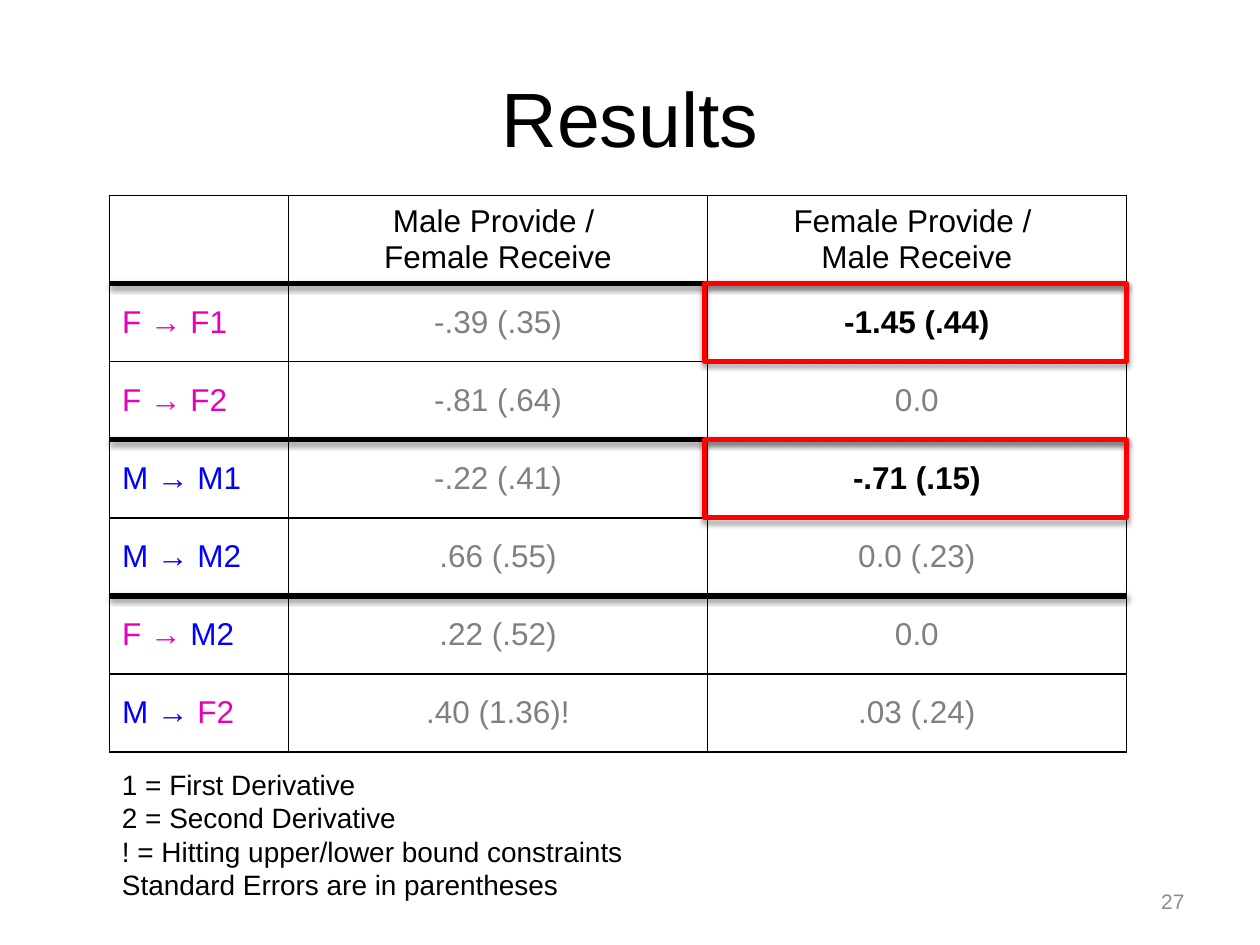
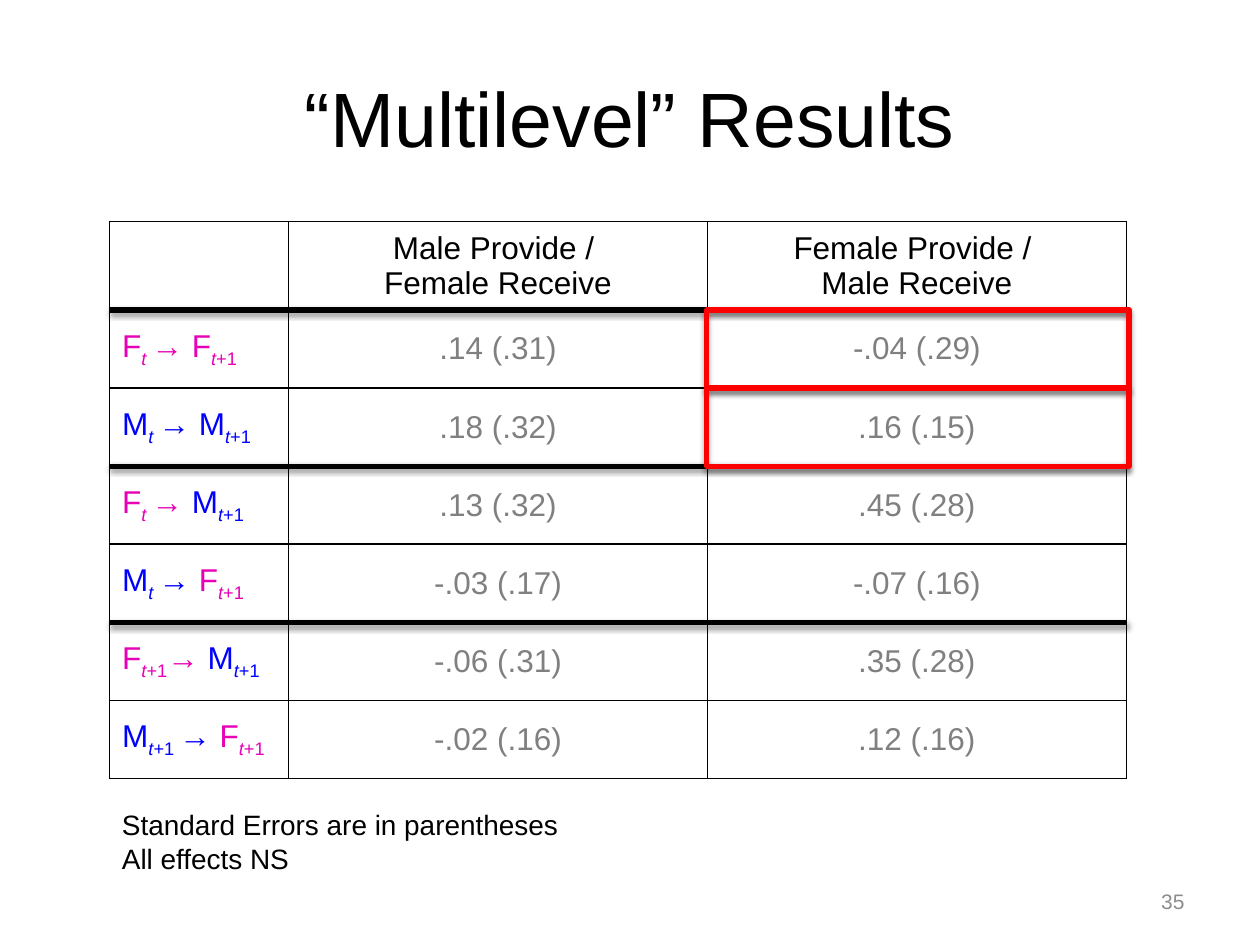
import lxml.etree
import pptx
import pptx.dml.color
import pptx.enum.shapes
import pptx.enum.text
import pptx.oxml
import pptx.oxml.ns
import pptx.util

Inches = pptx.util.Inches
Align = pptx.enum.text.PP_ALIGN
Anchor = pptx.enum.text.MSO_ANCHOR

FONT = "Arial"
BLACK, GREY, PAGE_GREY, RED = "000000", "808080", "8C8C8C", "FF0000"
PERSON_COLORS = {"F": "E700B5", "M": "0000FF"}

LEFT, TABLE_WIDTH = 0.87, 8.07
LABEL_WIDTH = 1.42
HEADER_HEIGHT, ROW_HEIGHT = 0.67, 0.62
RULE_DROP = 0.03
HIGHLIGHT_WIDTH = 3.35
HEADERS = [
    ["Male Provide / ", "Female Receive"],
    ["Female Provide / ", "Male Receive"],
]


def rgb(hex_color):
    return pptx.dml.color.RGBColor.from_string(hex_color)


def add_run(paragraph, text, size=18, color=BLACK, bold=False, italic=False, baseline=0):
    run = paragraph.add_run()
    run.text = text
    font = run.font
    font.name, font.size = FONT, pptx.util.Pt(size)
    font.bold, font.italic = bold, italic
    font.color.rgb = rgb(color)
    if baseline:
        run._r.get_or_add_rPr().set("baseline", str(baseline * 1000))


def write_lines(frame, lines, align=Align.LEFT, **style):
    """Write each line, a string or a list of (text, format) runs, as a paragraph."""
    for index, line in enumerate(lines):
        paragraph = frame.paragraphs[0] if index == 0 else frame.add_paragraph()
        paragraph.alignment = align
        runs = [(line, {})] if isinstance(line, str) else line
        for text, changes in runs:
            add_run(paragraph, text, **{**style, **changes})


def add_shadow(shape, opacity, distance):
    namespace = pptx.oxml.ns.nsdecls("a")
    shape._element.spPr.append(pptx.oxml.parse_xml(
        f'<a:effectLst {namespace}><a:outerShdw blurRad="{pptx.util.Pt(3.1)}" '
        f'dist="{pptx.util.Pt(distance)}" dir="5400000" rotWithShape="0">'
        f'<a:srgbClr val="{BLACK}"><a:alpha val="{opacity * 1000}"/></a:srgbClr>'
        f'</a:outerShdw></a:effectLst>'))


def add_borders(cell):
    properties = cell._tc.get_or_add_tcPr()
    for side in "LRTB":
        border = lxml.etree.SubElement(
            properties, pptx.oxml.ns.qn(f"a:ln{side}"), w=str(pptx.util.Pt(1)))
        fill = lxml.etree.SubElement(border, pptx.oxml.ns.qn("a:solidFill"))
        lxml.etree.SubElement(fill, pptx.oxml.ns.qn("a:srgbClr"), val=BLACK)


def derivative_label(cause, effect):
    """Label such as F → M2, each part in its person's colour."""
    return [
        (f"{cause} → ", {"color": PERSON_COLORS[cause]}),
        (effect, {"color": PERSON_COLORS[effect[0]]}),
    ]


def lagged_label(cause, cause_step, effect):
    """Label with time subscripts; cause_step is what follows the first t."""
    def person(letter, step):
        color = {"color": PERSON_COLORS[letter]}
        subscript = {**color, "baseline": -25}
        return [(letter, color), ("t", {**subscript, "italic": True}), (step, subscript)]

    arrow = [("→ ", {"color": PERSON_COLORS[cause]})]
    return person(cause, cause_step) + arrow + person(effect, "+1")


class Deck:
    def __init__(self):
        self.presentation = pptx.Presentation()
        self.presentation.slide_width = Inches(10)
        self.presentation.slide_height = Inches(7.5)
        self.slide = None

    def start_slide(self, title, number):
        layout = self.presentation.slide_layouts.get_by_name("Title Only")
        self.slide = self.presentation.slides.add_slide(layout)
        heading = self.slide.shapes.title
        heading.left, heading.top = Inches(0.5), Inches(0.3)
        heading.width, heading.height = Inches(9), Inches(1.25)
        heading.text_frame.vertical_anchor = Anchor.MIDDLE
        write_lines(heading.text_frame, [title], Align.CENTER, size=44)
        self.text((7.17, 6.95, 2.33, 0.4), [number], align=Align.RIGHT,
                  anchor=Anchor.MIDDLE, size=12, color=PAGE_GREY)

    def text(self, box, lines, align=Align.LEFT, anchor=Anchor.TOP, **style):
        frame = self.slide.shapes.add_textbox(*map(Inches, box)).text_frame
        frame.word_wrap = True
        frame.vertical_anchor = anchor
        write_lines(frame, lines, align, **style)

    def cell(self, cell, lines, align=Align.CENTER, **style):
        add_borders(cell)
        cell.fill.background()
        cell.vertical_anchor = Anchor.MIDDLE
        write_lines(cell.text_frame, lines, align, **style)

    def table(self, top, effects, bold_rows):
        height = HEADER_HEIGHT + ROW_HEIGHT * len(effects)
        table = self.slide.shapes.add_table(
            len(effects) + 1, 3, Inches(LEFT), Inches(top),
            Inches(TABLE_WIDTH), Inches(height)).table
        table.first_row = table.horz_banding = False
        value_width = (TABLE_WIDTH - LABEL_WIDTH) / 2
        for column, width in zip(table.columns, (LABEL_WIDTH, value_width, value_width)):
            column.width = Inches(width)
        for index, row in enumerate(table.rows):
            row.height = Inches(ROW_HEIGHT if index else HEADER_HEIGHT)

        for column, header in enumerate([[], *HEADERS]):
            self.cell(table.cell(0, column), header)
        for index, (label, male_provides, female_provides) in enumerate(effects):
            row = index + 1
            bold = index in bold_rows
            self.cell(table.cell(row, 0), [label], Align.LEFT)
            self.cell(table.cell(row, 1), [male_provides], color=GREY)
            self.cell(table.cell(row, 2), [female_provides],
                      color=BLACK if bold else GREY, bold=bold)

    def rule(self, y):
        rule = self.slide.shapes.add_connector(
            pptx.enum.shapes.MSO_CONNECTOR.STRAIGHT,
            Inches(LEFT), Inches(y), Inches(LEFT + TABLE_WIDTH), Inches(y))
        rule.line.color.rgb = rgb(BLACK)
        rule.line.width = pptx.util.Pt(3)
        add_shadow(rule, 38, 1.6)

    def highlight(self, left, top):
        frame = self.slide.shapes.add_shape(
            pptx.enum.shapes.MSO_SHAPE.RECTANGLE, Inches(left), Inches(top),
            Inches(HIGHLIGHT_WIDTH), Inches(ROW_HEIGHT))
        frame.fill.background()
        frame.line.color.rgb = rgb(RED)
        frame.line.width = pptx.util.Pt(3)
        add_shadow(frame, 35, 1.8)

    def results(self, top, effects, highlight_left, highlight_rows, bold_rows=()):
        """Table with a heavy rule above each pair of rows and red frames."""
        self.table(top, effects, bold_rows)
        body_top = top + HEADER_HEIGHT + RULE_DROP
        for row in range(0, len(effects), 2):
            self.rule(body_top + row * ROW_HEIGHT)
        for row in highlight_rows:
            self.highlight(highlight_left, body_top + row * ROW_HEIGHT)


def main():
    deck = Deck()

    deck.start_slide("Results", "27")
    deck.results(1.55, [
        (derivative_label("F", "F1"), "-.39 (.35)", "-1.45 (.44)"),
        (derivative_label("F", "F2"), "-.81 (.64)", "0.0"),
        (derivative_label("M", "M1"), "-.22 (.41)", "-.71 (.15)"),
        (derivative_label("M", "M2"), ".66 (.55)", "0.0 (.23)"),
        (derivative_label("F", "M2"), ".22 (.52)", "0.0"),
        (derivative_label("M", "F2"), ".40 (1.36)!", ".03 (.24)"),
    ], highlight_left=5.59, highlight_rows=(0, 2), bold_rows=(0, 2))
    deck.text((LEFT, 6.04, 6.7, 1.18), [
        "1 = First Derivative",
        "2 = Second Derivative",
        "! = Hitting upper/lower bound constraints",
        "Standard Errors are in parentheses",
    ], size=16)

    deck.start_slide("“Multilevel” Results", "35")
    deck.results(1.76, [
        (lagged_label("F", " ", "F"), ".14 (.31)", "-.04 (.29)"),
        (lagged_label("M", " ", "M"), ".18 (.32)", ".16 (.15)"),
        (lagged_label("F", " ", "M"), ".13 (.32)", ".45 (.28)"),
        (lagged_label("M", " ", "F"), "-.03 (.17)", "-.07 (.16)"),
        (lagged_label("F", "+1", "M"), "-.06 (.31)", ".35 (.28)"),
        (lagged_label("M", "+1 ", "F"), "-.02 (.16)", ".12 (.16)"),
    ], highlight_left=5.61, highlight_rows=(0, 1))
    deck.text((LEFT, 6.36, 6.7, 0.64), [
        "Standard Errors are in parentheses",
        "All effects NS",
    ], size=16)

    deck.presentation.save("out.pptx")


if __name__ == "__main__":
    main()
